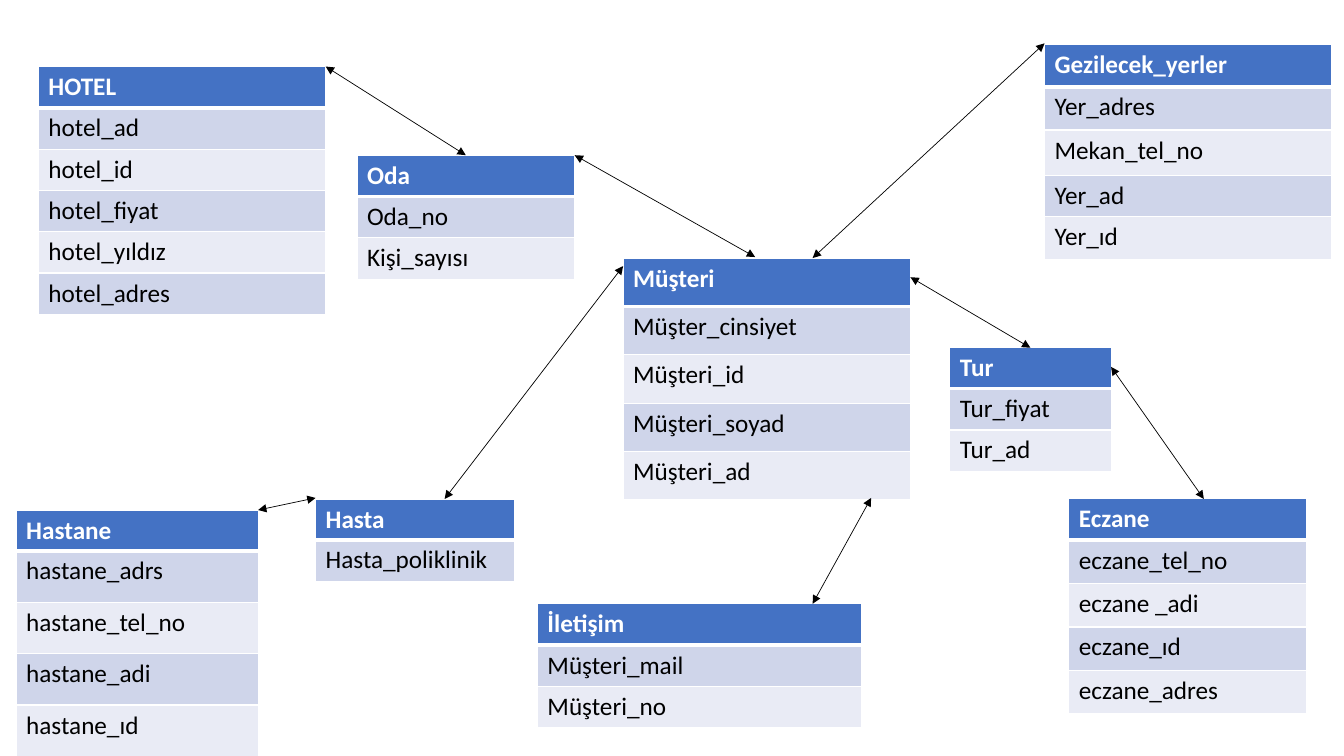
"""Build a slide with the entity diagram of a hotel and health tourism database."""
from lxml import etree
from pptx import Presentation
from pptx.dml.color import RGBColor
from pptx.enum.shapes import MSO_CONNECTOR
from pptx.oxml.ns import qn
from pptx.util import Inches, Pt

STRAIGHT = MSO_CONNECTOR.STRAIGHT
HEADER_BLUE = RGBColor(0x44, 0x72, 0xC4)
BAND_DARK = RGBColor(0xCF, 0xD5, 0xEA)
BAND_LIGHT = RGBColor(0xE9, 0xEB, 0xF5)
WHITE = RGBColor(0xFF, 0xFF, 0xFF)
BLACK = RGBColor(0x00, 0x00, 0x00)
THIN, THICK = Pt(1), Pt(3)

ENTITIES = [
    (0.38, 0.66, 2.85, [0.41] * 6,
     ["HOTEL", "hotel_ad", "hotel_id", "hotel_fiyat", "hotel_yıldız", "hotel_adres"]),
    (0.16, 5.06, 2.4, [0.4] + [0.51] * 4,
     ["Hastane", "hastane_adrs", "hastane_tel_no", "hastane_adi", "hastane_ıd"]),
    (10.36, 0.44, 2.85, [0.42, 0.43, 0.45, 0.4, 0.43],
     ["Gezilecek_yerler", "Yer_adres", "Mekan_tel_no", "Yer_ad", "Yer_ıd"]),
    (10.6, 4.94, 2.36, [0.42] + [0.43] * 4,
     ["Eczane", "eczane_tel_no", "eczane _adi", "eczane_ıd", "eczane_adres"]),
    (9.42, 3.45, 1.6, [0.4, 0.41, 0.41], ["Tur", "Tur_fiyat", "Tur_ad"]),
    (3.54, 1.54, 2.16, [0.41] * 3, ["Oda", "Oda_no", "Kişi_sayısı"]),
    (3.13, 4.95, 1.97, [0.4, 0.41], ["Hasta", "Hasta_poliklinik"]),
    (5.33, 5.99, 3.22, [0.41] * 3, ["İletişim", "Müşteri_mail", "Müşteri_no"]),
    (6.18, 2.56, 2.85, [0.48] * 5,
     ["Müşteri", "Müşter_cinsiyet", "Müşteri_id", "Müşteri_soyad", "Müşteri_ad"]),
]

RELATIONS = [
    (3.23, 0.66, 4.62, 1.54),
    (5.7, 1.54, 7.49, 2.55),
    (8.06, 2.56, 10.36, 0.43),
    (6.18, 2.64, 4.41, 4.95),
    (3.13, 4.94, 2.56, 5.06),
    (8.64, 4.94, 8.06, 5.99),
    (9.03, 2.75, 10.22, 3.45),
    (11.02, 3.64, 11.94, 4.95),
]


def set_borders(cell, top, bottom):
    properties = cell._tc.get_or_add_tcPr()
    for side, width in (("L", THIN), ("R", THIN), ("T", top), ("B", bottom)):
        line = etree.SubElement(properties, qn(f"a:ln{side}"), w=str(int(width)))
        fill = etree.SubElement(line, qn("a:solidFill"))
        etree.SubElement(fill, qn("a:srgbClr"), val=str(WHITE))


presentation = Presentation()
presentation.slide_width = Inches(13.33)
presentation.slide_height = Inches(7.5)
slide = presentation.slides.add_slide(presentation.slide_layouts[6])

for left, top, width, heights, names in ENTITIES:
    table = slide.shapes.add_table(
        len(names), 1, Inches(left), Inches(top), Inches(width), Inches(sum(heights))
    ).table
    for index, (name, height) in enumerate(zip(names, heights)):
        is_header = index == 0
        table.rows[index].height = Inches(height)
        cell = table.cell(index, 0)
        set_borders(cell, THICK if index == 1 else THIN, THICK if is_header else THIN)
        cell.fill.solid()
        band = BAND_DARK if index % 2 else BAND_LIGHT
        cell.fill.fore_color.rgb = HEADER_BLUE if is_header else band
        cell.text_frame.text = name
        font = cell.text_frame.paragraphs[0].runs[0].font
        font.name = "Calibri"
        font.size = Pt(18)
        font.bold = is_header
        font.color.rgb = WHITE if is_header else BLACK

for start_x, start_y, end_x, end_y in RELATIONS:
    connector = slide.shapes.add_connector(
        STRAIGHT, Inches(start_x), Inches(start_y), Inches(end_x), Inches(end_y)
    )
    connector.line.color.rgb = BLACK
    connector.line.width = Pt(0.5)
    line = connector.line._get_or_add_ln()
    for end in ("a:headEnd", "a:tailEnd"):
        etree.SubElement(line, qn(end), type="triangle")
    etree.SubElement(connector._element.spPr, qn("a:effectLst"))

presentation.save("out.pptx")
